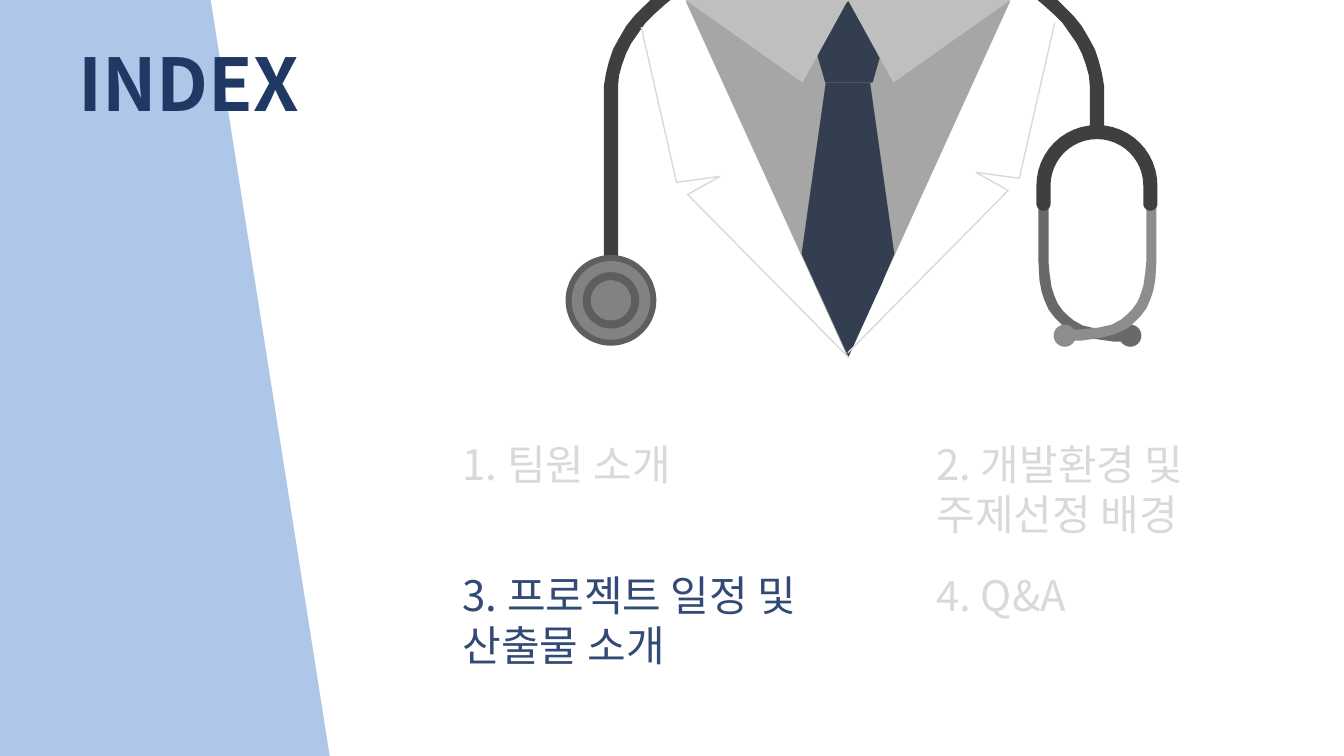
from math import cos, sin, radians
from lxml.etree import SubElement
from pptx import Presentation
from pptx.dml.color import RGBColor
from pptx.enum.shapes import MSO_SHAPE as Kind
from pptx.enum.text import MSO_AUTO_SIZE as Fit
from pptx.oxml.ns import qn
from pptx.util import Inches, Pt

FONT = "Noto Sans CJK KR"
NAVY, PALE, DARK = "333F50", "D9D9D9", "3F3F3F"
RIM, DISC, BACK, FRONT = "5E5E5E", "828282", "69696B", "8D8D8E"

TIE = [(2.59, .82), (3.03, .82), (3.27, 2.52), (3.12, 2.87), (2.51, 2.87), (2.35, 2.52)]
LAPEL = [(.76, .27), (1.11, 1.81), (1.54, 1.75), (1.22, 1.93), (2.81, 3.54)]
INNER = [(.85, 0), (1.05, 0), (.99, .05), (.89, .14), (.8, .23), (.73, .33), (.66, .43),
         (.61, .53), (.57, .64), (.54, .75), (.53, .86), (.53, .92)]
OUTER = [(.39, .92), (.39, .85), (.41, .73), (.44, .61), (.48, .49), (.54, .38),
         (.61, .26), (.69, .16), (.79, .06)]
ARM = [(5.57, 3.39), (5.45, 3.39), (5.24, 3.36), (5.1, 3.32), (4.99, 3.27), (4.92, 3.21),
       (4.86, 3.15), (4.8, 3.07), (4.76, 2.98), (4.73, 2.89), (4.71, 2.78), (4.7, 2.6),
       (4.7, 2.02), (4.8, 2.02), (4.8, 2.6), (4.81, 2.71), (4.83, 2.85), (4.86, 2.94),
       (4.89, 3.01), (4.94, 3.08), (4.99, 3.13), (5.05, 3.18), (5.14, 3.23), (5.27, 3.26),
       (5.47, 3.28), (5.6, 3.28), (5.6, 3.39)]


def rgb(color):
    """Turn a hex string into a colour."""
    return RGBColor.from_string(color)


def paint(shape, fill=None, line=None):
    """Give a shape a flat fill or a thin line, and no shadow."""
    shape.shadow.inherit = False
    if fill:
        shape.fill.solid()
        shape.fill.fore_color.rgb = rgb(fill)
    else:
        shape.fill.background()
    if line:
        shape.line.color.rgb = rgb(line)
        shape.line.width = Pt(1)
    else:
        shape.line.fill.background()


def preset(shapes, kind, box, fill, adj=None, turn=0):
    """Add a filled preset shape."""
    shape = shapes.add_shape(kind, *map(Inches, box))
    if adj is not None:
        shape.adjustments[0] = adj
    shape.rotation = turn
    paint(shape, fill)


def trace(shapes, origin, points, fill=None, line=None):
    """Draw an outline through points measured from the origin."""
    left, top = origin
    spots = [(Inches(left + x), Inches(top + y)) for x, y in points]
    pen = shapes.build_freeform(*spots[0], scale=1.0)
    pen.add_line_segments(spots[1:], close=fill is not None)
    paint(pen.convert_to_shape(), fill, line)


def mirror(points, total, drop=0):
    """Reflect points left to right and shift them down."""
    return [(total - x, y + drop) for x, y in points]


def arc(x, y, radius, start, end):
    """List points along an arc, with angles in degrees."""
    turns = [radians(start + (end - start) * i / 24) for i in range(25)]
    return [(x + radius * cos(t), y + radius * sin(t)) for t in turns]


def disc(shapes, origin, x, y, radius, fill):
    """Add a circle around a centre measured from the origin."""
    box = (origin[0] + x - radius, origin[1] + y - radius, 2 * radius, 2 * radius)
    preset(shapes, Kind.OVAL, box, fill)


def shirt(shapes, origin):
    """Draw the shirt front with its tie and left collar."""
    left, top = origin
    preset(shapes, Kind.ISOSCELES_TRIANGLE, (left + 1.2, top + .01, 3.22, 3.54), "A6A6A6", .5, 180)
    preset(shapes, Kind.REGULAR_PENTAGON, (left + 2.44, top + .01, .76, .81), NAVY)
    trace(shapes, origin, TIE, NAVY)
    collar(shapes, (left + 1.2, top), .28)


def collar(shapes, origin, tip):
    """Draw one collar wing with its point at the given share."""
    preset(shapes, Kind.ISOSCELES_TRIANGLE, (*origin, 1.61, .82), "BFBFBF", tip, 180)


def scope(shapes, origin):
    """Draw the stethoscope."""
    for end, flip in ((3.21, False), (1.34, True)):
        tube = INNER + [(.53, end), (.39, end)] + OUTER
        trace(shapes, origin, mirror(tube, 5.74) if flip else tube, DARK)
    for radius, fill in ((.45, RIM), (.39, DISC), (.28, RIM), (.2, DISC)):
        disc(shapes, origin, .46, 2.98, radius, fill)
    for arm, x, fill in ((ARM, 5.61, BACK), (mirror(ARM, 10.57, -.01), 4.96, FRONT)):
        trace(shapes, origin, arm, fill)
        disc(shapes, origin, x, 3.33, .11, fill)
    grip = (arc(5.28, 1.84, .6, 180, 360) + arc(5.81, 2.02, .07, 0, 180)
            + arc(5.28, 1.84, .46, 360, 180) + arc(4.75, 2.02, .07, 0, 180))
    trace(shapes, origin, grip, DARK)


def coat(shapes, origin):
    """Draw the right collar, the tie tip and both lapels."""
    left, top = origin
    collar(shapes, (left + 2.81, top), .72)
    preset(shapes, Kind.ISOSCELES_TRIANGLE, (left + 2.47, top + 2.78, .69, .76), NAVY, .5, 180)
    for points in (LAPEL, mirror(LAPEL, 5.62, -.04)):
        trace(shapes, origin, points, line=PALE)


def doctor(slide, origin):
    """Draw the grouped coat and stethoscope."""
    shapes = slide.shapes.add_group_shape().shapes
    for part in (shirt, scope, coat):
        part(shapes, origin)


def label(slide, box, text, color, **style):
    """Add a wrapped text box."""
    shape = slide.shapes.add_textbox(*map(Inches, box))
    frame = shape.text_frame
    frame.word_wrap = True
    frame.auto_size = Fit.SHAPE_TO_FIT_TEXT
    run = frame.paragraphs[0].add_run()
    run.text = text
    for key, value in {"name": FONT, **style}.items():
        setattr(run.font, key, value)
    run.font.color.rgb = rgb(color)
    SubElement(run._r.get_or_add_rPr(), qn("a:ea"), typeface=FONT)


def topics(slide, box):
    """Place the four topics in a two by two grid."""
    left, top, step, drop = box
    items = (("1. 팀원 소개", PALE, 2.69, .6), ("2. 개발환경 및 주제선정 배경", PALE, 3.47, 1.11),
             ("3. 프로젝트 일정 및 산출물 소개", "324A75", 3.92, 1.1), ("4. Q&A", PALE, 3.13, .6))
    for i, (text, color, width, height) in enumerate(items):
        row, col = divmod(i, 2)
        spot = (left + col * step, top + row * drop, width, height)
        label(slide, spot, text, color, size=Pt(30))


def main():
    """Build and save the index slide."""
    deck = Presentation()
    deck.slide_width, deck.slide_height = Inches(13.33), Inches(7.5)
    slide = deck.slides.add_slide(deck.slide_layouts[6])
    preset(slide.shapes, Kind.TRAPEZOID, (-1.45, 0, 4.72, 7.5), "AEC7E8", .25)
    label(slide, (.68, .34, 3.62, .96), "INDEX", "203864", size=Pt(52), bold=True)
    doctor(slide, (5.6, 0))
    topics(slide, (4.49, 4.3, 4.7, 1.3))
    deck.save("out.pptx")


if __name__ == "__main__":
    main()
